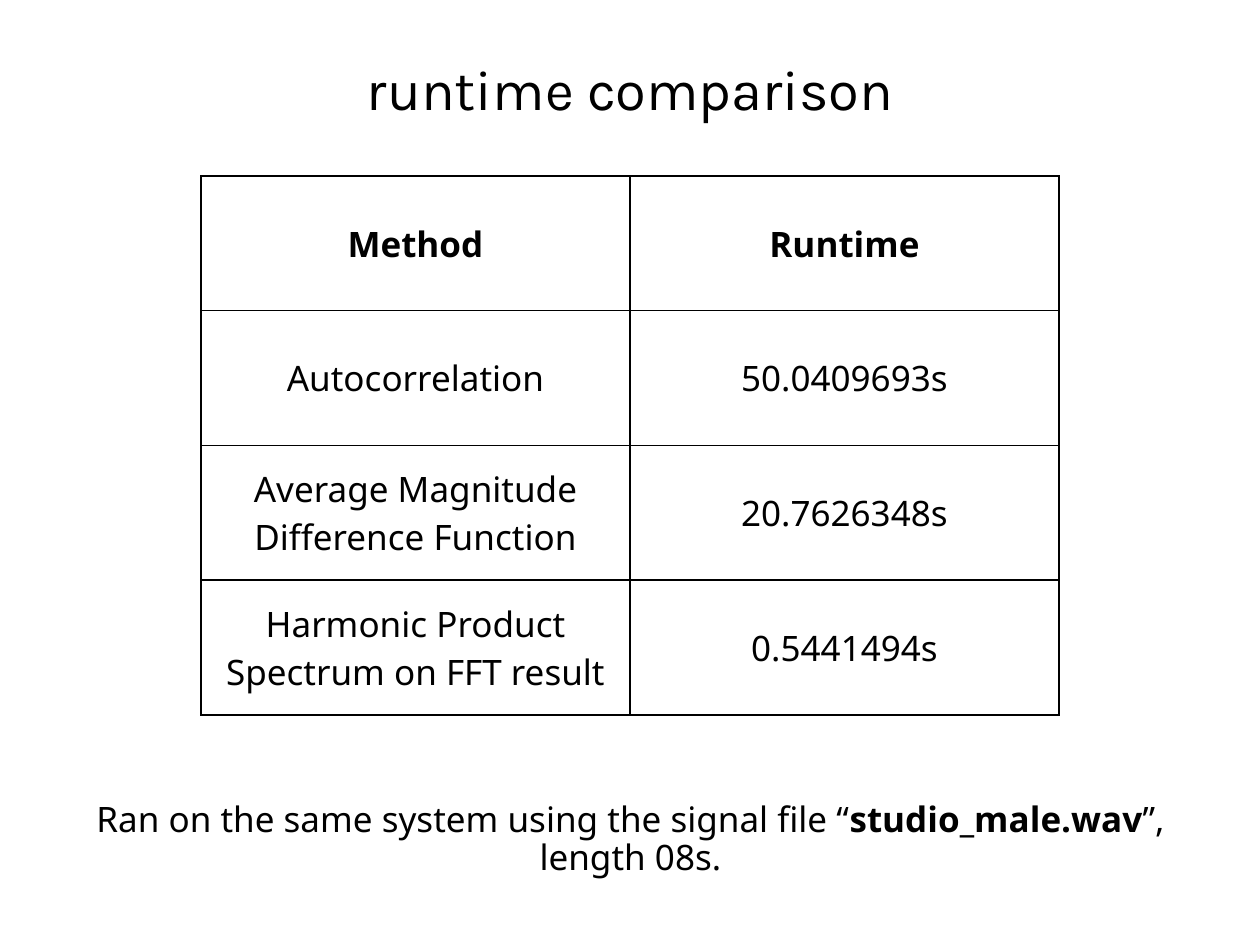
"""Build the runtime comparison slide."""
from lxml import etree
from pptx import Presentation
from pptx.dml.color import RGBColor
from pptx.enum.text import MSO_ANCHOR, PP_ALIGN
from pptx.oxml.ns import qn
from pptx.util import Pt

MID = PP_ALIGN.CENTER
TOP = MSO_ANCHOR.TOP
HALF = MSO_ANCHOR.MIDDLE
PX = 914400 / 126
HUES = {"ink": "000000", "paper": "FFFFFF"}
ROWS = [
    ("Method", "Runtime"),
    ("Autocorrelation", "50.0409693s"),
    ("Average Magnitude Difference Function", "20.7626348s"),
    ("Harmonic Product Spectrum on FFT result", "0.5441494s"),
]


def px(n):
    return round(n * PX)


class Deck:
    """Hold the style and the current slide."""

    def __init__(self, wide, high):
        self.prs = Presentation()
        self.prs.slide_width, self.prs.slide_height = px(wide), px(high)
        self.slide = self.prs.slides.add_slide(self.prs.slide_layouts[5])
        fill = self.slide.background.fill
        fill.solid()
        fill.fore_color.rgb = RGBColor.from_string(HUES["paper"])

    def text(self, frame, runs, size, font, space=1.0):
        """Fill the first paragraph with (words, bold) runs."""
        frame.word_wrap = True
        para = frame.paragraphs[0]
        para.alignment = MID
        para.line_spacing = space
        for words, bold in runs:
            run = para.add_run()
            run.text = words
            run.font.name, run.font.size, run.font.bold = font, Pt(size), bold
            run.font.color.rgb = RGBColor.from_string(HUES["ink"])

    def title(self, words, left, top, wide, high):
        """Place the title."""
        shape = self.slide.shapes.title
        shape.left, shape.top = px(left), px(top)
        shape.width, shape.height = px(wide), px(high)
        frame = shape.text_frame
        frame.vertical_anchor = TOP
        frame.margin_top = px(10)
        self.text(frame, [(words, False)], 32, "Karla", 0.9)

    def note(self, runs, left, top, wide, high):
        """Add a text box."""
        box = self.slide.shapes.add_textbox(px(left), px(top), px(wide), px(high))
        self.text(box.text_frame, runs, 20, "Noto Sans", 0.9)

    def edge(self, cell):
        """Draw a thin line on each side of a cell."""
        props = cell._tc.get_or_add_tcPr()
        for at, side in enumerate(("lnL", "lnR", "lnT", "lnB")):
            line = etree.Element(qn(f"a:{side}"), w=str(Pt(1)))
            fill = etree.SubElement(line, qn("a:solidFill"))
            etree.SubElement(fill, qn("a:srgbClr"), val=HUES["ink"])
            props.insert(at, line)

    def table(self, rows, left, top, wide, high):
        """Add a ruled table with a bold first row."""
        grid = self.slide.shapes.add_table(
            len(rows), len(rows[0]), px(left), px(top), px(wide), px(high)
        ).table
        grid.horz_banding = grid.first_row = False
        for r, row in enumerate(rows):
            for c, words in enumerate(row):
                cell = grid.cell(r, c)
                cell.fill.background()
                cell.vertical_anchor = HALF
                self.text(cell.text_frame, [(words, r == 0)], 20, "Noto Sans")
                self.edge(cell)


def main():
    deck = Deck(1260, 945)
    deck.title("runtime comparison", 349, 52, 563, 94)
    deck.table(ROWS, 201, 176, 858, 539)
    deck.note(
        [
            ("Ran on the same system using the signal file “", False),
            ("studio_male.wav", True),
            ("”, length 08s.", False),
        ],
        58, 796, 1145, 97,
    )
    deck.prs.save("out.pptx")


if __name__ == "__main__":
    main()
